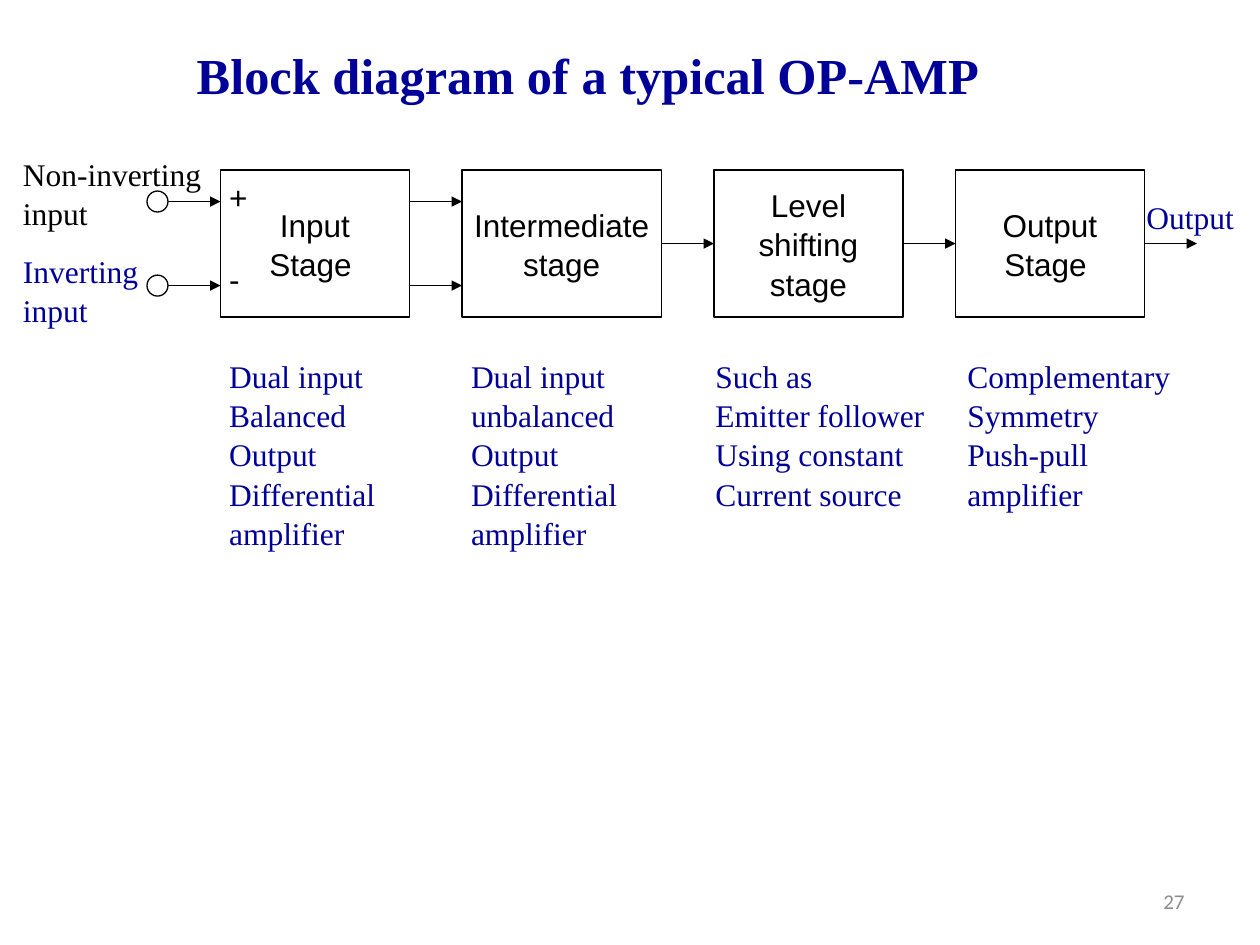
from lxml.etree import SubElement
from pptx import Presentation
from pptx.dml.color import RGBColor
from pptx.enum.shapes import MSO_CONNECTOR, MSO_SHAPE
from pptx.enum.text import MSO_ANCHOR, PP_ALIGN
from pptx.oxml.ns import qn
from pptx.util import Inches, Pt

BLACK = RGBColor(0x00, 0x00, 0x00)
NAVY = RGBColor(0x00, 0x00, 0x99)
GRAY = RGBColor(0x8C, 0x8C, 0x8C)
SERIF = "Times New Roman"
SANS = "Arial"

CELLS_PER_INCH = 12
STAGE_TOP = 16.2
STAGE_HEIGHT = 14
STAGE_LEFT = 21
STAGE_GAP = 5
UPPER_ROW = STAGE_TOP + 3
LOWER_ROW = STAGE_TOP + 11
MIDDLE_ROW = STAGE_TOP + STAGE_HEIGHT / 2
TERMINAL_LEFT = 14
TERMINAL_SIZE = 2
CAPTION_TOP = 33.24

STAGES = [
    ("Input\nStage ", 18),
    ("Intermediate\nstage", 19),
    ("Level\nshifting\nstage", 18),
    ("Output\nStage ", 18),
]
CAPTIONS = [
    ("Dual input\nBalanced\nOutput\nDifferential\namplifier", 20.64),
    ("Dual input\nunbalanced\nOutput\nDifferential\namplifier", 43.68),
    ("Such as\nEmitter follower\nUsing constant\nCurrent source", 66.96),
    ("Complementary\nSymmetry\nPush-pull\namplifier", 90.96),
]
LABELS = [
    ("Non-inverting\ninput", 1, 14, 21, SERIF, BLACK),
    ("Inverting\ninput", 1, 23.28, 14, SERIF, NAVY),
    ("+", 20.64, 16.2, 5, SANS, BLACK),
    ("-", 20.64, 24, 5, SANS, BLACK),
    ("Output", 108, 18.12, 12, SERIF, NAVY),
]


def cells(count):
    return Inches(count / CELLS_PER_INCH)


def write_text(shape, text, font_name, color, size=18, align=PP_ALIGN.LEFT, bold=False):
    text_frame = shape.text_frame
    text_frame.text = text
    text_frame.word_wrap = True
    for paragraph in text_frame.paragraphs:
        paragraph.alignment = align
        paragraph.line_spacing = 1.04
        for run in paragraph.runs:
            run.font.name = font_name
            run.font.size = Pt(size)
            run.font.bold = bold
            run.font.color.rgb = color


def add_title(slide, text):
    title = slide.shapes.title
    title.left, title.top = cells(2), cells(4)
    title.width, title.height = cells(108), cells(6)
    write_text(title, text, SERIF, NAVY, 28.8, PP_ALIGN.CENTER, True)
    title.text_frame.vertical_anchor = MSO_ANCHOR.MIDDLE


def add_outline(slide, preset, left, top, width, height):
    shape = slide.shapes.add_shape(
        preset, cells(left), cells(top), cells(width), cells(height)
    )
    shape.shadow.inherit = False
    shape.fill.background()
    shape.line.color.rgb = BLACK
    shape.line.width = Pt(0.75)
    return shape


def add_stage(slide, text, left, width):
    stage = add_outline(
        slide, MSO_SHAPE.RECTANGLE, left, STAGE_TOP, width, STAGE_HEIGHT
    )
    write_text(stage, text, SANS, BLACK, align=PP_ALIGN.CENTER)
    text_frame = stage.text_frame
    text_frame.margin_left = text_frame.margin_right = 0
    text_frame.vertical_anchor = MSO_ANCHOR.MIDDLE
    return stage


def add_stages(slide):
    stages = []
    left = STAGE_LEFT
    for text, width in STAGES:
        stages.append(add_stage(slide, text, left, width))
        left += width + STAGE_GAP
    return stages


def add_arrow(slide, start, end, row):
    arrow = slide.shapes.add_connector(
        MSO_CONNECTOR.STRAIGHT, start, cells(row), end, cells(row)
    )
    arrow.line.color.rgb = BLACK
    arrow.line.width = Pt(0.75)
    SubElement(arrow.line._get_or_add_ln(), qn("a:tailEnd"), type="triangle")
    SubElement(arrow._element.spPr, qn("a:effectLst"))
    return arrow


def add_input(slide, stage, row):
    add_outline(
        slide, MSO_SHAPE.OVAL, TERMINAL_LEFT, row - TERMINAL_SIZE / 2,
        TERMINAL_SIZE, TERMINAL_SIZE,
    )
    add_arrow(slide, cells(TERMINAL_LEFT + TERMINAL_SIZE), stage.left, row)


def add_signal_path(slide, stages):
    first, second = stages[:2]
    for row in (UPPER_ROW, LOWER_ROW):
        add_input(slide, first, row)
        add_arrow(slide, first.left + first.width, second.left, row)
    for source, target in zip(stages[1:], stages[2:]):
        arrow = add_arrow(slide, source.left + source.width, target.left, MIDDLE_ROW)
        arrow.begin_connect(source, 3)
        arrow.end_connect(target, 1)
    last = stages[-1]
    right = last.left + last.width
    output = add_arrow(slide, right, right + cells(STAGE_GAP), MIDDLE_ROW)
    output.begin_connect(last, 3)


def add_label(slide, text, left, top, width, font_name, color):
    line_count = text.count("\n") + 1
    label = slide.shapes.add_textbox(
        cells(left), cells(top), cells(width), cells(1.2 + 3.6 * line_count)
    )
    write_text(label, text, font_name, color)


def add_page_number(slide, number):
    box = slide.shapes.add_textbox(cells(86), cells(83.4), cells(28), cells(4.8))
    write_text(box, number, "Calibri", GRAY, 12, PP_ALIGN.RIGHT)
    box.text_frame.vertical_anchor = MSO_ANCHOR.MIDDLE


def main():
    presentation = Presentation()
    presentation.slide_width = Inches(10)
    presentation.slide_height = Inches(7.5)
    slide = presentation.slides.add_slide(presentation.slide_layouts[5])
    add_title(slide, "Block diagram of a typical OP-AMP")
    stages = add_stages(slide)
    add_signal_path(slide, stages)
    for label in LABELS:
        add_label(slide, *label)
    for text, left in CAPTIONS:
        add_label(slide, text, left, CAPTION_TOP, 24, SERIF, NAVY)
    add_page_number(slide, "27")
    presentation.save("out.pptx")


if __name__ == "__main__":
    main()
